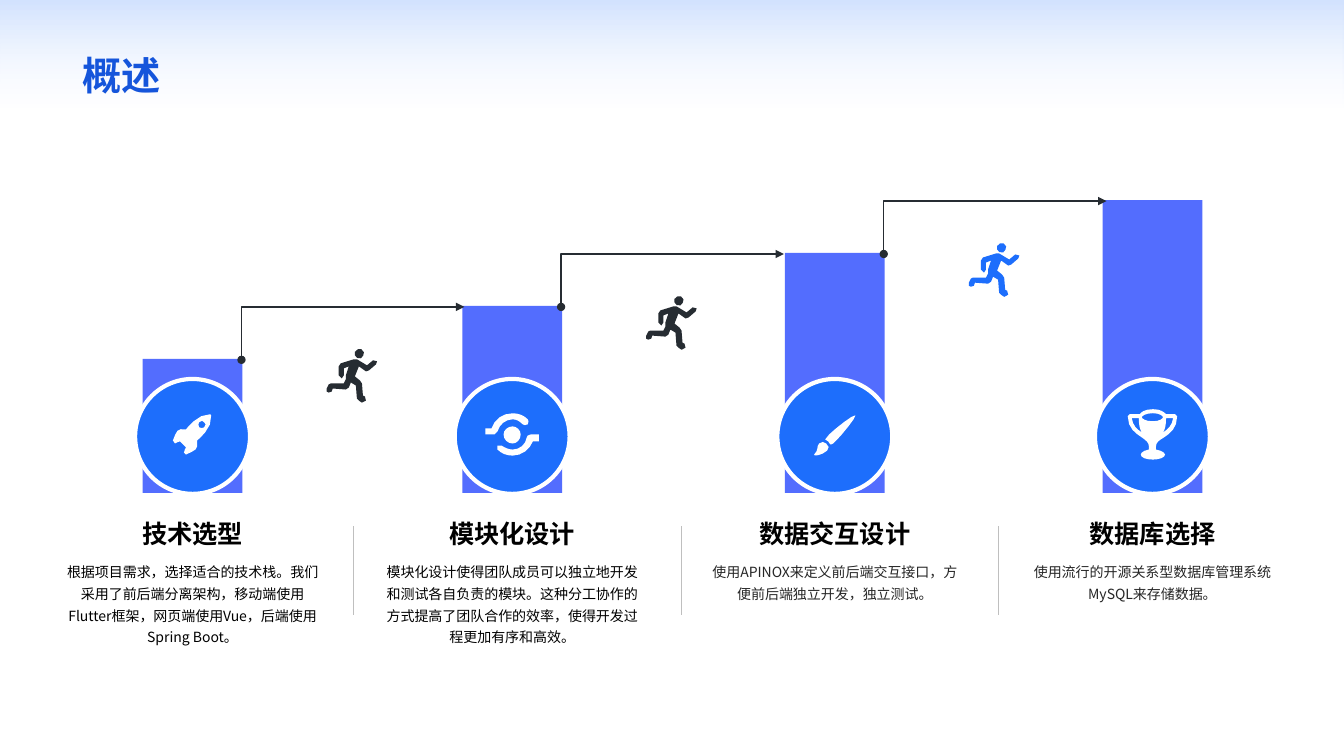
from dataclasses import dataclass
from math import dist

from lxml.etree import SubElement
from pptx import Presentation
from pptx.dml.color import RGBColor
from pptx.enum.shapes import MSO_CONNECTOR, MSO_SHAPE
from pptx.enum.text import MSO_ANCHOR, MSO_AUTO_SIZE, PP_ALIGN
from pptx.oxml.ns import qn
from pptx.util import Inches, Pt

BODY_FONT = "Noto Sans CJK JP"
TITLE_FONT = "Noto Sans CJK SC"
WHITE, BLACK, DARK, BLUE = "FFFFFF", "000000", "262C32", "1D6EFC"
TITLE_BLUE, BAR_BLUE, SKY, GREY, SOFT_BLACK = "1555DB", "536DFE", "D2E2FE", "BFBFBF", "262626"
BAR_WIDTH, BAR_BOTTOM, FIRST_TOP, RISE = 0.99, 4.89, 3.56, 0.525
CIRCLE_SIZE, CIRCLE_TOP, ICON_MIDDLE = 1.14, 3.76, 4.31
TEXT_WIDTH, ARROW_LENGTH = 2.76, 2.21


@dataclass(frozen=True)
class Icon:
    """Outline in hundredths of an inch, with M, L, C and Z commands."""
    width: float
    height: float
    outline: str


@dataclass(frozen=True)
class Stage:
    center: float
    heading: str
    detail: str
    detail_color: str
    icon: Icon


@dataclass(frozen=True)
class Gap:
    """The space between two stages, with its runner and divider."""
    divider: float
    runner_color: str


ROCKET = Icon(0.39, 0.4, (
    "M 26 13 C 25 11 25 9 26 8 C 28 6 30 6 31 8 C 33 9 33 11 31 13 C 30 14 28 14 26 13 Z "
    "M 24 26 C 24 26 40 14 38 1 L 37 0 C 25 -1 13 15 13 15 C 4 14 4 16 0 26 "
    "C -1 28 0 29 2 29 C 3 28 7 27 7 27 L 13 33 C 13 33 11 36 11 38 C 10 39 11 41 13 40 "
    "C 23 35 25 36 24 26 Z"))
SYNC = Icon(0.53, 0.42, (
    "M 45 21 C 42 21 41 23 41 24 C 40 31 34 36 27 36 C 23 36 19 34 16 32 C 15 30 13 30 12 32 "
    "C 10 33 10 35 12 36 C 16 40 21 42 27 42 C 36 42 44 36 47 28 L 53 28 L 53 21 Z "
    "M 12 18 C 14 11 20 6 27 6 C 31 6 34 8 37 11 C 38 12 40 12 42 11 C 43 9 43 7 42 6 "
    "C 38 2 33 0 27 0 C 17 0 9 6 6 15 L 0 15 L 0 21 L 9 21 C 11 21 12 19 12 18 Z "
    "M 18 21 C 18 26 22 30 27 30 C 31 30 35 26 35 21 C 35 17 31 13 27 13 C 22 13 18 17 18 21 Z"))
BRUSH = Icon(0.41, 0.38, (
    "M 41 0 C 39 -1 21 13 15 19 C 13 21 12 23 11 24 L 14 26 L 16 29 L 17 29 "
    "C 18 29 19 28 22 25 C 27 20 42 2 41 0 Z "
    "M 5 28 C 2 31 5 34 0 39 C -2 41 8 40 13 35 C 15 33 15 30 12 28 C 10 26 7 26 5 28 Z"))
TROPHY = Icon(0.49, 0.5, (
    "M 4 9 L 11 9 C 11 16 12 20 14 23 C 9 20 5 16 4 9 Z "
    "M 25 4 C 32 4 35 7 35 8 C 35 9 32 12 25 12 C 17 12 14 9 14 8 C 14 7 17 4 25 4 Z "
    "M 35 23 C 37 20 38 16 38 9 L 45 9 C 44 16 40 20 35 23 Z "
    "M 28 37 C 28 33 31 31 36 28 C 42 24 49 19 49 7 L 47 5 L 38 5 "
    "C 36 3 33 0 25 0 C 17 0 13 3 12 5 L 2 5 L 0 7 C 0 19 8 24 14 28 "
    "C 18 31 21 33 21 37 L 21 40 C 16 41 13 43 13 45 C 13 48 18 50 25 50 "
    "C 31 50 37 48 37 45 C 37 43 33 41 28 40 Z"))
RUNNER = Icon(0.5, 0.53, (
    "M 34 9 C 36 8 37 5 37 3 C 36 0 33 -1 31 0 C 28 1 27 4 28 6 C 29 8 31 10 34 9 Z "
    "M 50 12 L 46 11 L 40 16 L 30 10 L 27 10 L 14 14 L 12 17 L 12 26 L 15 29 L 17 26 "
    "L 17 19 L 22 17 L 19 26 L 19 30 L 17 34 L 4 34 L 2 35 L 0 39 L 0 42 L 2 43 L 5 42 "
    "L 6 39 L 19 40 L 22 38 L 24 33 L 29 36 L 30 49 L 32 51 L 35 53 L 39 51 L 38 47 "
    "L 36 46 L 35 34 L 33 31 L 28 27 L 32 17 L 39 22 L 42 21 L 49 15 Z"))

STAGES = [
    Stage(1.91, "技术选型", "根据项目需求，选择适合的技术栈。我们采用了前后端分离架构，移动端使用Flutter框架，"
          "网页端使用Vue，后端使用Spring Boot。", BLACK, ROCKET),
    Stage(5.08, "模块化设计", "模块化设计使得团队成员可以独立地开发和测试各自负责的模块。这种分工协作的方式提高了"
          "团队合作的效率，使得开发过程更加有序和高效。", BLACK, SYNC),
    Stage(8.28, "数据交互设计", "使用APINOX来定义前后端交互接口，方便前后端独立开发，独立测试。",
          SOFT_BLACK, BRUSH),
    Stage(11.43, "数据库选择", "使用流行的开源关系型数据库管理系统MySQL来存储数据。", SOFT_BLACK, TROPHY),
]
GAPS = [Gap(3.5, DARK), Gap(6.76, DARK), Gap(9.9, BLUE)]


def color(value: str) -> RGBColor:
    return RGBColor.from_string(value)


def set_upward_gradient(fill, start: float, low: str, high: str) -> None:
    fill.gradient()
    fill.gradient_angle = 90
    for stop, position, shade in zip(fill.gradient_stops, (start, 1), (low, high)):
        stop.position = position
        stop.color.rgb = color(shade)


def paint(shape, fill: str, line: str | None = None, width: float = 0) -> None:
    shape.shadow.inherit = False
    shape.fill.solid()
    shape.fill.fore_color.rgb = color(fill)
    if line:
        shape.line.color.rgb = color(line)
        shape.line.width = Pt(width)
    else:
        shape.line.fill.background()


def add_preset(slide, kind, left: float, top: float, width: float, height: float):
    return slide.shapes.add_shape(kind, Inches(left), Inches(top), Inches(width), Inches(height))


def add_text(para, text: str, size: float, shade: str, font: str, bold: bool) -> None:
    span = para.add_run()
    span.text = text
    span.font.name = font
    span.font.size = Pt(size)
    span.font.bold = bold
    span.font.color.rgb = color(shade)
    SubElement(span.font._element, qn("a:ea"), typeface=font)


def add_text_box(slide, center: float, top: float, height: float):
    box = slide.shapes.add_textbox(Inches(center - TEXT_WIDTH / 2), Inches(top),
                                   Inches(TEXT_WIDTH), Inches(height))
    box.text_frame.paragraphs[0].alignment = PP_ALIGN.CENTER
    return box.text_frame


def curve_points(ends: list[tuple[float, float]]) -> list[tuple[float, float]]:
    """Points along a cubic curve, without its start; longer curves get more."""
    steps = min(4, max(1, round(dist(ends[0], ends[-1]) / 3)))
    points = []
    for step in range(1, steps + 1):
        t = step / steps
        weights = ((1 - t) ** 3, 3 * t * (1 - t) ** 2, 3 * t * t * (1 - t), t ** 3)
        points.append(tuple(sum(w * end[axis] for w, end in zip(weights, ends)) for axis in (0, 1)))
    return points


def contours(outline: str) -> list[list[tuple[float, float]]]:
    result = []
    for contour in outline.split("Z")[:-1]:
        points = []
        for command in contour.replace("L", "|").replace("C", "|").replace("M", "").split("|"):
            numbers = [float(number) for number in command.split()]
            pairs = list(zip(numbers[::2], numbers[1::2]))
            points += curve_points([points[-1], *pairs]) if len(pairs) == 3 else pairs
        result.append(points)
    return result


def add_icon(slide, icon: Icon, center: float, middle: float, fill: str) -> None:
    left, top = center - icon.width / 2, middle - icon.height / 2
    builder = None
    for contour in contours(icon.outline):
        points = [(Inches(left + x / 100), Inches(top + y / 100)) for x, y in contour]
        if builder is None:
            builder = slide.shapes.build_freeform(*points[0])
        else:
            builder.move_to(*points[0])
        builder.add_line_segments(points[1:], close=True)
    paint(builder.convert_to_shape(), fill)


def add_step_arrow(slide, left: float, bottom: float, top: float) -> None:
    builder = slide.shapes.build_freeform(Inches(left), Inches(bottom))
    corner, tip = (Inches(left), Inches(top)), (Inches(left + ARROW_LENGTH), Inches(top))
    builder.add_line_segments([corner, tip], close=False)
    arrow = builder.convert_to_shape()
    paint(arrow, WHITE, DARK, 1)
    arrow.fill.background()
    for end, kind in (("a:headEnd", "oval"), ("a:tailEnd", "triangle")):
        SubElement(arrow.line._get_or_add_ln(), qn(end), type=kind)


def add_divider(slide, x: float) -> None:
    divider = slide.shapes.add_connector(MSO_CONNECTOR.STRAIGHT, Inches(x), Inches(5.22),
                                         Inches(x), Inches(6.1))
    divider.line.color.rgb = color(GREY)
    divider.line.width = Pt(0.25)
    SubElement(divider._element.spPr, qn("a:effectLst"))


def add_stage(slide, stage: Stage, top: float) -> None:
    bar = add_preset(slide, MSO_SHAPE.RECTANGLE, stage.center - BAR_WIDTH / 2, top,
                     BAR_WIDTH, BAR_BOTTOM - top)
    paint(bar, BAR_BLUE)
    circle = add_preset(slide, MSO_SHAPE.OVAL, stage.center - CIRCLE_SIZE / 2, CIRCLE_TOP,
                        CIRCLE_SIZE, CIRCLE_SIZE)
    paint(circle, BLUE, WHITE, 3)
    add_icon(slide, stage.icon, stage.center, ICON_MIDDLE, WHITE)
    heading = add_text_box(slide, stage.center, 5.07, 0.42)
    heading.word_wrap = False
    heading.vertical_anchor = MSO_ANCHOR.BOTTOM
    add_text(heading.paragraphs[0], stage.heading, 18, BLACK, BODY_FONT, True)
    detail = add_text_box(slide, stage.center, 5.49, 1.57)
    detail.word_wrap = True
    detail.paragraphs[0].line_spacing = 1.3
    add_text(detail.paragraphs[0], stage.detail, 10, stage.detail_color, BODY_FONT, False)


def add_backdrop(slide) -> None:
    set_upward_gradient(slide.background.fill, 0.85, WHITE, SKY)
    veil = add_preset(slide, MSO_SHAPE.RECTANGLE, 0, 0, 13.33, 7.5)
    paint(veil, WHITE)
    set_upward_gradient(veil.fill, 0.79, WHITE, WHITE)
    SubElement(veil._element.findall(".//" + qn("a:srgbClr"))[1], qn("a:alpha"), val="0")
    slide.shapes._spTree.insert(2, veil._element)


def add_title(slide) -> None:
    title = slide.shapes.title
    title.left, title.top, title.width, title.height = map(Inches, (0.72, 0.46, 11.67, 0.57))
    title.text_frame.auto_size = MSO_AUTO_SIZE.SHAPE_TO_FIT_TEXT
    title.text_frame.vertical_anchor = MSO_ANCHOR.BOTTOM
    para = title.text_frame.paragraphs[0]
    para.alignment = PP_ALIGN.LEFT
    add_text(para, "概述", 28, TITLE_BLUE, TITLE_FONT, True)


def main() -> None:
    deck = Presentation()
    deck.slide_width, deck.slide_height = Inches(13.33), Inches(7.5)
    page = deck.slides.add_slide(deck.slide_layouts[5])
    add_backdrop(page)
    add_title(page)
    tops = [FIRST_TOP - RISE * index for index in range(len(STAGES))]
    for stage, top in zip(STAGES, tops):
        add_stage(page, stage, top)
    for gap, stage, top, next_top in zip(GAPS, STAGES, tops, tops[1:]):
        add_step_arrow(page, stage.center + BAR_WIDTH / 2 - 0.01, top + 0.01, next_top + 0.01)
        add_icon(page, RUNNER, stage.center + 1.58, top + 0.17, gap.runner_color)
        add_divider(page, gap.divider)
    deck.save("out.pptx")


if __name__ == "__main__":
    main()
